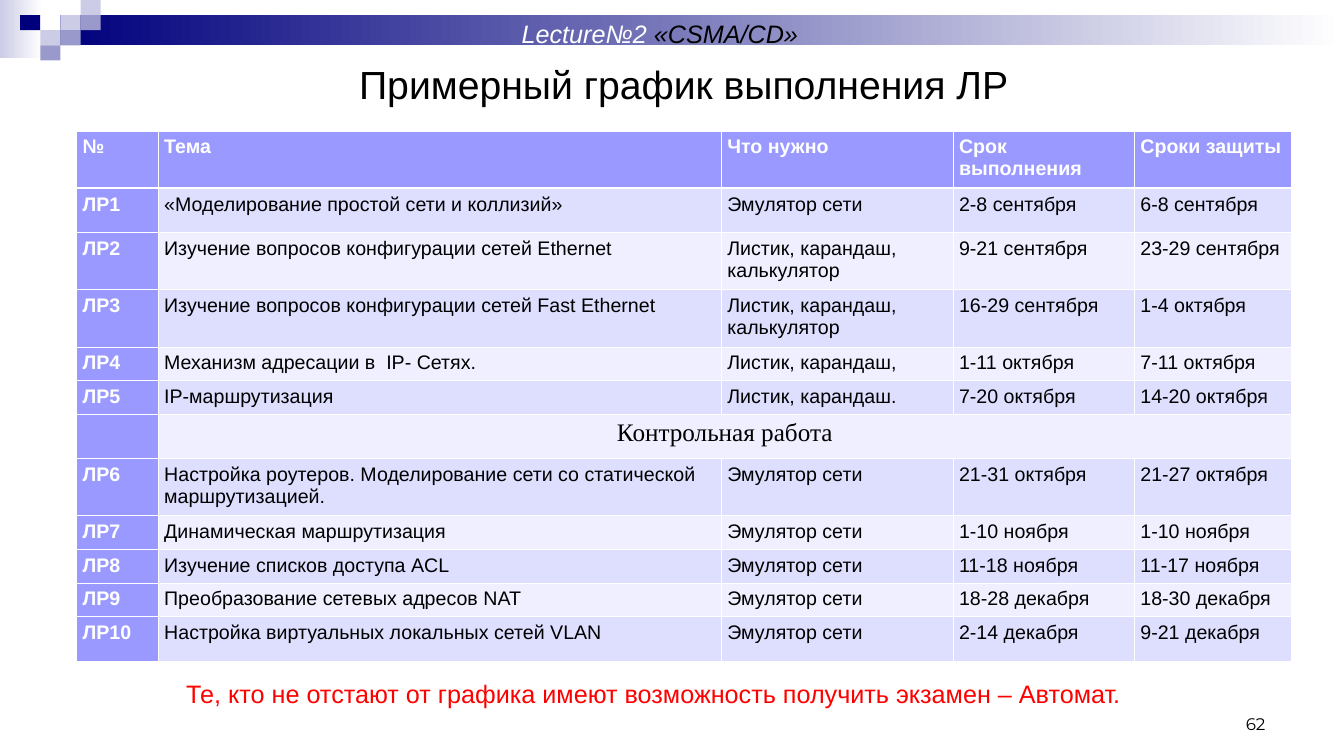
from lxml import etree
from pptx import Presentation
from pptx.dml.color import RGBColor
from pptx.enum.shapes import MSO_SHAPE
from pptx.enum.text import MSO_ANCHOR, MSO_AUTO_SIZE, PP_ALIGN
from pptx.oxml.ns import qn
from pptx.util import Inches, Pt

RECTANGLE = MSO_SHAPE.RECTANGLE
LEFT, CENTER, RIGHT = PP_ALIGN.LEFT, PP_ALIGN.CENTER, PP_ALIGN.RIGHT
TOP, MIDDLE, BOTTOM = MSO_ANCHOR.TOP, MSO_ANCHOR.MIDDLE, MSO_ANCHOR.BOTTOM
GROW = MSO_AUTO_SIZE.SHAPE_TO_FIT_TEXT

WHITE = RGBColor(0xFF, 0xFF, 0xFF)
BLACK = RGBColor(0x00, 0x00, 0x00)
RED = RGBColor(0xFF, 0x00, 0x00)
NAVY = RGBColor(0x00, 0x00, 0x7D)
LAVENDER = RGBColor(0xCC, 0xCC, 0xE6)
MAUVE = RGBColor(0x99, 0x99, 0xCC)
VIOLET = RGBColor(0x99, 0x99, 0xFF)
BAND_DARK = RGBColor(0xDE, 0xDE, 0xFF)
BAND_LIGHT = RGBColor(0xEF, 0xEF, 0xFF)

MOSAIC = [(3, 1, LAVENDER), (4, 0, LAVENDER), (4, 1, MAUVE), (2, 2, LAVENDER),
          (1, 1, NAVY), (3, 2, MAUVE), (2, 3, MAUVE)]

COLUMN_WIDTHS = [0.81, 5.59, 2.3, 1.8, 1.56]
ROW_HEIGHTS = [0.47, 0.44, 0.47, 0.47, 0.24, 0.31, 0.44, 0.47, 0.31, 0.31, 0.31, 0.44]
EMULATOR = "Эмулятор сети"
TEST_ROW = 6
SCHEDULE = [
    ("№", "Тема", "Что нужно", "Срок выполнения", "Сроки защиты"),
    ("ЛР1", "«Моделирование простой сети и коллизий»", EMULATOR,
     "2-8 сентября", "6-8 сентября"),
    ("ЛР2", "Изучение вопросов конфигурации сетей Ethernet",
     "Листик, карандаш, калькулятор", "9-21 сентября", "23-29 сентября"),
    ("ЛР3", "Изучение вопросов конфигурации сетей Fast Ethernet",
     "Листик, карандаш, калькулятор", "16-29 сентября", "1-4 октября"),
    ("ЛР4", "Механизм адресации в  IP- Сетях.", "Листик, карандаш,",
     "1-11 октября", "7-11 октября"),
    ("ЛР5", "IP-маршрутизация", "Листик, карандаш.", "7-20 октября", "14-20 октября"),
    ("", "Контрольная работа", "", "", ""),
    ("ЛР6", "Настройка роутеров. Моделирование сети со статической маршрутизацией.",
     EMULATOR, "21-31 октября", "21-27 октября"),
    ("ЛР7", "Динамическая маршрутизация", EMULATOR, "1-10 ноября", "1-10 ноября"),
    ("ЛР8", "Изучение списков доступа ACL", EMULATOR, "11-18 ноября", "11-17 ноября"),
    ("ЛР9", "Преобразование сетевых адресов NAT", EMULATOR,
     "18-28 декабря", "18-30 декабря"),
    ("ЛР10", "Настройка виртуальных локальных сетей VLAN", EMULATOR,
     "2-14 декабря", "9-21 декабря"),
]


def write(frame, text, size=18, color=BLACK, font="Arial", bold=False, italic=False,
          align=LEFT, anchor=TOP, wrap=True):
    """Append a formatted run to the first paragraph of a text frame."""
    frame.word_wrap = wrap
    frame.vertical_anchor = anchor
    paragraph = frame.paragraphs[0]
    paragraph.alignment = align
    run = paragraph.add_run()
    run.text = text
    run.font.size, run.font.name = Pt(size), font
    run.font.bold, run.font.italic = bold, italic
    run.font.color.rgb = color


def add_frame(slide, left, top, width, height):
    """Add a text box and return its text frame."""
    return slide.shapes.add_textbox(
        Inches(left), Inches(top), Inches(width), Inches(height)).text_frame


def add_block(slide, left, top, width, height, color, fade=False):
    """Add a borderless rectangle, solid or fading to white on the right."""
    block = slide.shapes.add_shape(
        RECTANGLE, Inches(left), Inches(top), Inches(width), Inches(height))
    block.shadow.inherit = False
    block.line.fill.background()
    if fade:
        block.fill.gradient()
        block.fill.gradient_angle = 0
        for stop, shade, position in zip(block.fill.gradient_stops, (color, WHITE), (0, 1)):
            stop.color.rgb = shade
            stop.position = position
    else:
        block.fill.solid()
        block.fill.fore_color.rgb = color


def add_banner(slide, left, top, width):
    """Draw the fading bands, the mosaic of tiles and the lecture name."""
    tile_width, tile_height = 0.2, 0.15
    bar_left = 3 * tile_width
    add_block(slide, left, top, 0.42, 0.58, LAVENDER, fade=True)
    add_block(slide, left + bar_left, top + tile_height, width - bar_left,
              2 * tile_height, NAVY, fade=True)
    for column, row, color in MOSAIC:
        add_block(slide, left + column * tile_width, top + row * tile_height,
                  tile_width, tile_height, color)
    lecture = add_frame(slide, left + 5.08, top + 0.13, 2.94, 0.4)
    lecture.auto_size = GROW
    lecture.margin_left = lecture.margin_right = Inches(0.03)
    for text, color in (("Lecture№2", WHITE), (" «CSMA/CD»", BLACK)):
        write(lecture, text, color=color, italic=True, align=CENTER, wrap=False)


def add_title(slide, left, top, width, height):
    """Place and format the title placeholder."""
    title = slide.shapes.title
    title.left, title.top = Inches(left), Inches(top)
    title.width, title.height = Inches(width), Inches(height)
    write(title.text_frame, "Примерный график выполнения ЛР", size=28,
          align=CENTER, anchor=MIDDLE)


def set_borders(cell, top, bottom):
    """Give a cell white borders with the given top and bottom widths in points."""
    properties = cell._tc.get_or_add_tcPr()
    sides = (("a:lnL", 0.45), ("a:lnR", 0.45), ("a:lnT", top), ("a:lnB", bottom))
    for index, (tag, width) in enumerate(sides):
        line = etree.Element(qn(tag), w=str(Pt(width)))
        fill = etree.SubElement(line, qn("a:solidFill"))
        etree.SubElement(fill, qn("a:srgbClr"), val=str(WHITE))
        properties.insert(index, line)


def add_schedule(slide, left, top):
    """Build the table of lab works with banded rows and a merged test row."""
    table = slide.shapes.add_table(
        len(SCHEDULE), len(COLUMN_WIDTHS), Inches(left), Inches(top),
        Inches(sum(COLUMN_WIDTHS)), Inches(sum(ROW_HEIGHTS))).table
    table.first_row = table.horz_banding = False
    for column, width in zip(table.columns, COLUMN_WIDTHS):
        column.width = Inches(width)
    for row, height in zip(table.rows, ROW_HEIGHTS):
        row.height = Inches(height)
    table.cell(TEST_ROW, 1).merge(table.cell(TEST_ROW, 4))
    for r, entries in enumerate(SCHEDULE):
        for c, entry in enumerate(entries):
            cell = table.cell(r, c)
            heading = r == 0 or c == 0
            band = BAND_DARK if r % 2 else BAND_LIGHT
            cell.fill.solid()
            cell.fill.fore_color.rgb = VIOLET if heading else band
            cell.margin_left = cell.margin_right = Inches(0.06)
            cell.margin_top = cell.margin_bottom = Inches(0.05)
            set_borders(cell, 1.47 if r == 1 else 0.45, 1.47 if r == 0 else 0.45)
            if entry and r == TEST_ROW:
                write(cell.text_frame, entry, font="Times New Roman", align=CENTER)
            elif entry:
                write(cell.text_frame, entry, size=14, bold=heading,
                      color=WHITE if heading else BLACK)


def add_footer(slide, left, top):
    """Add the remark under the table and the slide number."""
    write(add_frame(slide, left, top, 9.65, 0.4),
          "Те, кто не отстают от графика имеют возможность получить экзамен – Автомат.",
          color=RED)
    write(add_frame(slide, left + 10.11, top + 0.15, 0.8, 0.5), "62", size=12,
          font="Montserrat", align=RIGHT, anchor=BOTTOM)


def main():
    """Create the presentation with the schedule slide."""
    deck = Presentation()
    deck.slide_width, deck.slide_height = Inches(13.34), Inches(7.5)
    slide = deck.slides.add_slide(deck.slide_layouts[5])
    add_banner(slide, 0, 0, 13.33)
    add_title(slide, 2.68, 0.53, 8.21, 0.61)
    add_schedule(slide, 0.76, 1.3)
    add_footer(slide, 1.75, 6.68)
    deck.save("out.pptx")


if __name__ == "__main__":
    main()
